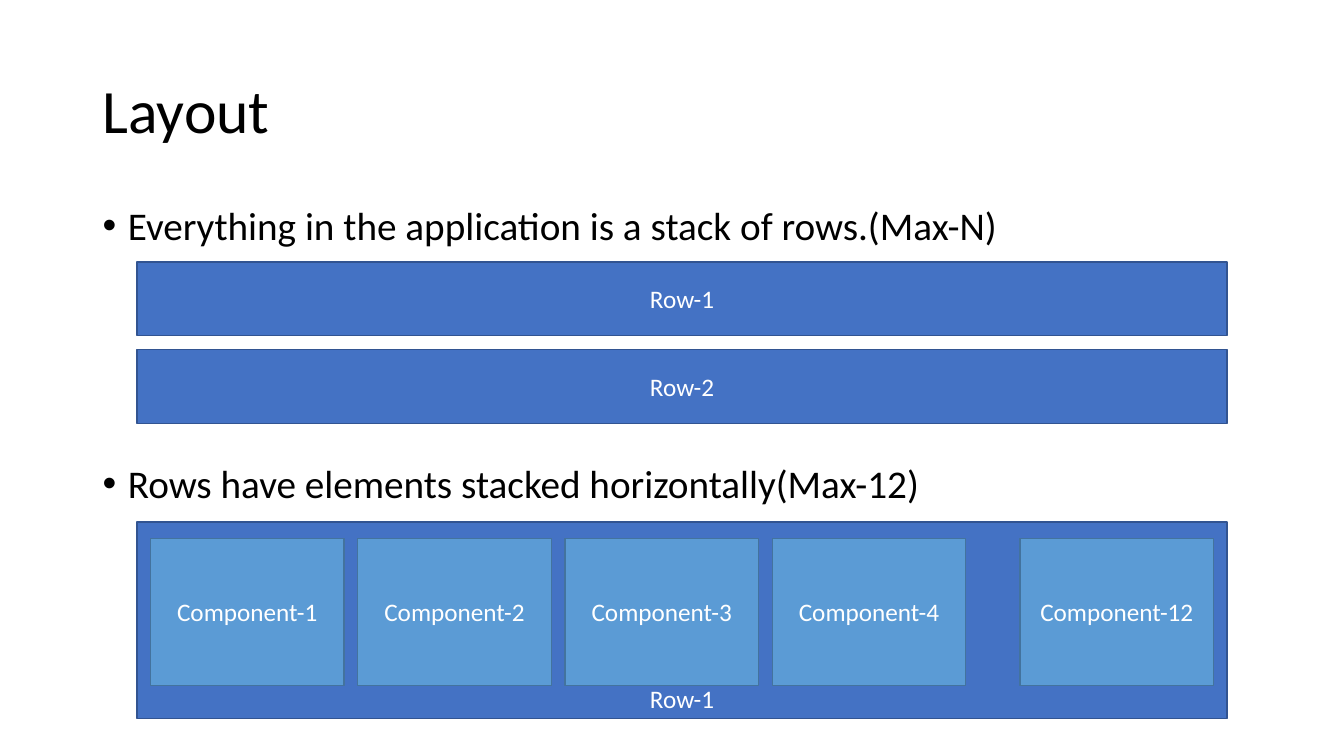
from dataclasses import dataclass

import pptx
import pptx.dml.color
import pptx.enum.shapes
import pptx.enum.text
import pptx.oxml.ns
import pptx.util
import lxml.etree

ALIGN = pptx.enum.text.PP_ALIGN
ANCHOR = pptx.enum.text.MSO_ANCHOR
SLIDE_WIDTH = pptx.util.Inches(13.33)
SLIDE_HEIGHT = pptx.util.Inches(7.5)


@dataclass(frozen=True)
class Theme:
    font: str = "Calibri"
    title_size: int = 44
    bullet_size: int = 28
    label_size: int = 18
    text: str = "000000"
    label: str = "FFFFFF"
    row: tuple = ("4472C4", "325491")  # fill, outline
    component: tuple = ("5B9BD5", "43739E")


THEME = Theme()

# Horizontal measures are percent of slide width, vertical ones of slide height
TEXT_LEFT, TEXT_WIDTH = 6.9, 86.27
BULLET_HEIGHT = 32.27
ROW_LEFT, ROW_WIDTH = 10.2, 81.1
ROW_TOP, ROW_HEIGHT, ROW_PITCH = 34.67, 9.73, 11.6
DETAIL_TOP, DETAIL_HEIGHT = 69.07, 26
COMPONENT_TOP, COMPONENT_WIDTH, COMPONENT_HEIGHT = 71.2, 14.4, 19.47
COMPONENT_INSET, COMPONENT_GAP = 1, 1.02


def place(left, top, width, height):
    """Turn percentages of the slide into lengths."""
    return (int(SLIDE_WIDTH * left / 100), int(SLIDE_HEIGHT * top / 100),
            int(SLIDE_WIDTH * width / 100), int(SLIDE_HEIGHT * height / 100))


def color(code):
    return pptx.dml.color.RGBColor.from_string(code)


def write(shape, text, size, ink, anchor, align):
    frame = shape.text_frame
    frame.text = text
    frame.word_wrap = True
    frame.vertical_anchor = anchor
    para = frame.paragraphs[0]
    para.alignment = align
    font = para.runs[0].font
    font.name = THEME.font
    font.size = pptx.util.Pt(size)
    font.color.rgb = color(ink)
    return para


def add_text(page, text, top, height, size, anchor):
    box = page.shapes.add_textbox(*place(TEXT_LEFT, top, TEXT_WIDTH, height))
    para = write(box, text, size, THEME.text, anchor, ALIGN.LEFT)
    para.line_spacing = 0.9
    return para


def add_bullet(page, text, top):
    para = add_text(page, text, top, BULLET_HEIGHT, THEME.bullet_size, ANCHOR.TOP)
    para.space_before = pptx.util.Pt(10)
    # Hanging indent and bullet character
    properties = para._p.get_or_add_pPr()
    indent = pptx.util.Inches(0.25)
    properties.set("marL", str(indent))
    properties.set("indent", str(-indent))
    qn = pptx.oxml.ns.qn
    lxml.etree.SubElement(properties, qn("a:buFont")).set("typeface", "Arial")
    lxml.etree.SubElement(properties, qn("a:buChar")).set("char", "•")


def add_block(page, text, area, colors, anchor=ANCHOR.MIDDLE):
    block = page.shapes.add_shape(
        pptx.enum.shapes.MSO_SHAPE.RECTANGLE, *place(*area))
    fill, outline = colors
    block.shadow.inherit = False
    block.fill.solid()
    block.fill.fore_color.rgb = color(fill)
    block.line.color.rgb = color(outline)
    block.line.width = pptx.util.Pt(1)
    write(block, text, THEME.label_size, THEME.label, anchor, ALIGN.CENTER)


def add_component(page, number, left):
    area = (left, COMPONENT_TOP, COMPONENT_WIDTH, COMPONENT_HEIGHT)
    add_block(page, f"Component-{number}", area, THEME.component)


def main():
    deck = pptx.Presentation()
    deck.slide_width, deck.slide_height = SLIDE_WIDTH, SLIDE_HEIGHT
    page = deck.slides.add_slide(deck.slide_layouts[6])

    # Title
    add_text(page, "Layout", 5.33, 19.33, THEME.title_size, ANCHOR.MIDDLE)

    # Stack of rows
    add_bullet(page, "Everything in the application is a stack of rows.(Max-N)", 26.67)
    for index in range(2):
        area = (ROW_LEFT, ROW_TOP + index * ROW_PITCH, ROW_WIDTH, ROW_HEIGHT)
        add_block(page, f"Row-{index + 1}", area, THEME.row)

    # One row in detail
    add_bullet(page, "Rows have elements stacked horizontally(Max-12)", 60.8)
    add_block(page, "Row-1", (ROW_LEFT, DETAIL_TOP, ROW_WIDTH, DETAIL_HEIGHT),
              THEME.row, ANCHOR.BOTTOM)

    # First components run from the left, the last one sits at the right end
    for index in range(4):
        step = COMPONENT_WIDTH + COMPONENT_GAP
        add_component(page, index + 1, ROW_LEFT + COMPONENT_INSET + index * step)
    add_component(page, 12, ROW_LEFT + ROW_WIDTH - COMPONENT_INSET - COMPONENT_WIDTH)

    deck.save("out.pptx")


if __name__ == "__main__":
    main()
